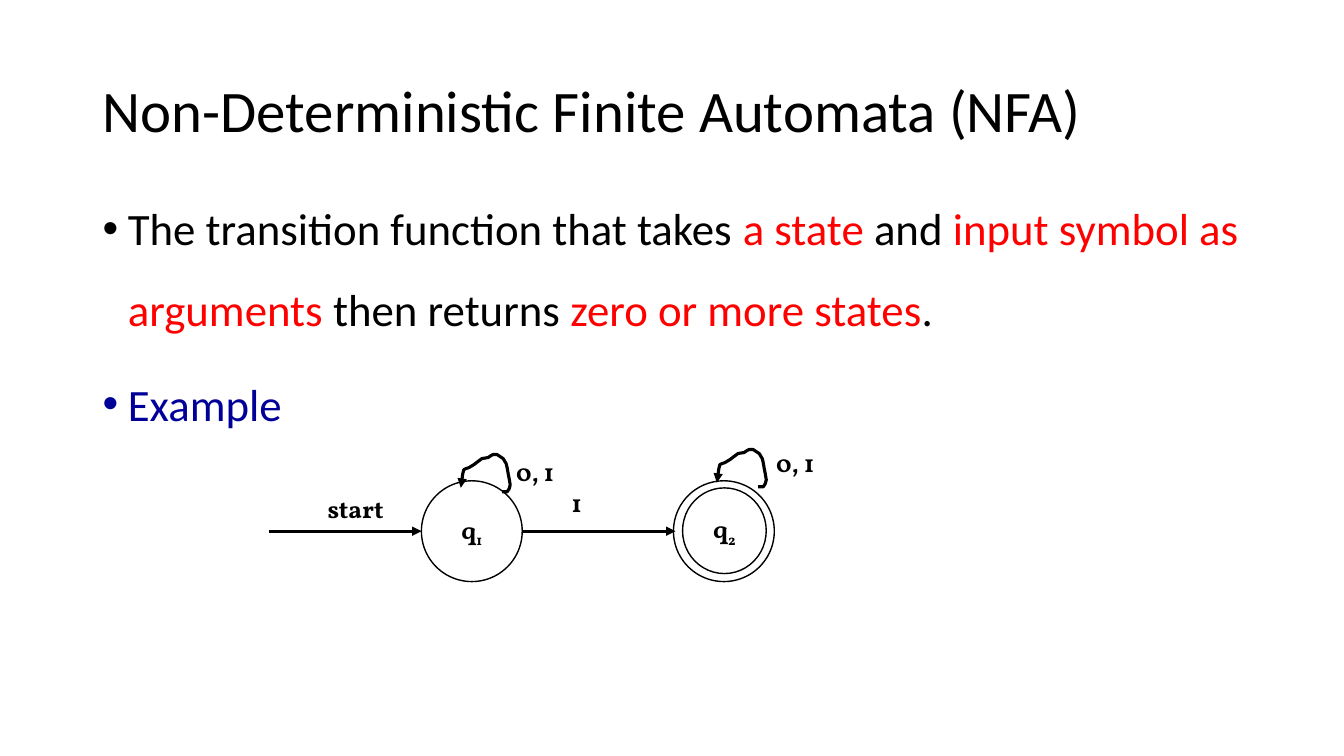
"""Build a slide that defines non-deterministic finite automata with a two-state example."""
from dataclasses import dataclass

from lxml.etree import SubElement
from pptx import Presentation
from pptx.dml.color import RGBColor
from pptx.enum.shapes import MSO_CONNECTOR, MSO_SHAPE
from pptx.enum.text import MSO_ANCHOR, MSO_AUTO_SIZE, PP_ALIGN
from pptx.oxml.ns import qn
from pptx.util import Inches, Pt

BLACK = RGBColor(0x00, 0x00, 0x00)
WHITE = RGBColor(0xFF, 0xFF, 0xFF)
RED = RGBColor(0xFF, 0x00, 0x00)
NAVY = RGBColor(0x00, 0x00, 0x99)
BODY_FONT = "Calibri"
DIAGRAM_FONT = "Vollkorn"


@dataclass
class Circle:
    left: float
    top: float
    width: float
    height: float
    index: str = ""


@dataclass
class Arrow:
    start: float
    end: float


@dataclass
class Label:
    text: str
    left: float
    top: float
    width: float


@dataclass
class Loop:
    left: float
    top: float


TITLE = "Non-Deterministic Finite Automata (NFA)"
BULLETS = [
    [
        ("The transition function that takes ", BLACK),
        ("a state ", RED),
        ("and ", BLACK),
        ("input symbol as arguments", RED),
        (" then returns ", BLACK),
        ("zero or more states", RED),
        (".", BLACK),
    ],
    [("Example", NAVY)],
]
ARROW_Y = 5.27
OUTER_CIRCLES = [Circle(4.18, 4.77, 1, 1, "1"), Circle(6.68, 4.77, 1, 1)]
ARROWS = [Arrow(2.67, 4.18), Arrow(5.18, 6.7)]
INNER_CIRCLE = Circle(6.77, 4.84, 0.83, 0.85, "2")
LABELS = [
    Label("0, 1", 5.02, 4.48, 0.66),
    Label("1", 5.57, 4.79, 0.32),
    Label("start", 3.15, 4.84, 0.88),
    Label("0, 1", 7.6, 4.39, 0.59),
]
LOOPS = [Loop(4.57, 4.51), Loop(7.11, 4.46)]
LOOP_POINTS = [
    (0, 0.33), (0.01, 0.26), (0.02, 0.19), (0.03, 0.15), (0.05, 0.14),
    (0.08, 0.13), (0.13, 0.1), (0.17, 0.07), (0.21, 0.04), (0.27, 0.03),
    (0.3, 0.01), (0.32, 0), (0.36, 0), (0.42, 0.04), (0.45, 0.09),
    (0.46, 0.13), (0.47, 0.19), (0.48, 0.24), (0.49, 0.3), (0.48, 0.34),
    (0.46, 0.37), (0.41, 0.37),
]


def add_run(p, text: str, font: str, size: float, color: RGBColor, bold: bool = False):
    """Add one formatted run and return it."""
    r = p.add_run()
    r.text = text
    r.font.name = font
    r.font.size = Pt(size)
    r.font.bold = bold
    r.font.color.rgb = color
    return r


def add_diagram_run(p, text: str):
    """Add a run in the style of the diagram."""
    return add_run(p, text, DIAGRAM_FONT, 18, BLACK, True)


def add_title(s) -> None:
    """Place and fill the title placeholder."""
    title = s.shapes.title
    title.left, title.top = Inches(0.92), Inches(0.4)
    title.width, title.height = Inches(11.5), Inches(1.45)
    tf = title.text_frame
    tf.auto_size = MSO_AUTO_SIZE.NONE
    tf.vertical_anchor = MSO_ANCHOR.MIDDLE
    p = tf.paragraphs[0]
    p.alignment = PP_ALIGN.LEFT
    p.line_spacing = 0.9
    add_run(p, TITLE, BODY_FONT, 42, BLACK)


def add_bullets(s) -> None:
    """Add the bulleted text."""
    box = s.shapes.add_textbox(Inches(0.92), Inches(1.68), Inches(11.5), Inches(4.76))
    tf = box.text_frame
    tf.word_wrap = True
    for i, runs in enumerate(BULLETS):
        p = tf.add_paragraph() if i else tf.paragraphs[0]
        p.line_spacing = 1.5
        p.space_before = Pt(10)
        pPr = p._p.get_or_add_pPr()
        pPr.set("marL", str(Inches(0.25)))
        pPr.set("indent", str(-Inches(0.25)))
        SubElement(pPr, qn("a:buFont")).set("typeface", "Arial")
        SubElement(pPr, qn("a:buChar")).set("char", "•")
        for text, color in runs:
            add_run(p, text, BODY_FONT, 32, color)


def add_circle(s, circle: Circle) -> None:
    """Add a state circle, named when it has an index."""
    sp = s.shapes.add_shape(
        MSO_SHAPE.OVAL, Inches(circle.left), Inches(circle.top),
        Inches(circle.width), Inches(circle.height),
    )
    sp.shadow.inherit = False
    sp.fill.solid()
    sp.fill.fore_color.rgb = WHITE
    sp.line.color.rgb = BLACK
    sp.line.width = Pt(1)
    if circle.index:
        tf = sp.text_frame
        tf.word_wrap = False
        tf.vertical_anchor = MSO_ANCHOR.MIDDLE
        p = tf.paragraphs[0]
        p.alignment = PP_ALIGN.CENTER
        add_diagram_run(p, "q")
        r = add_diagram_run(p, circle.index)
        r._r.get_or_add_rPr().set("baseline", "-25000")


def style_arrow(sp, arrow_end: str) -> None:
    """Give a line its black stroke and a triangle at the named end."""
    sp.line.color.rgb = BLACK
    sp.line.width = Pt(2.25)
    SubElement(sp.line._get_or_add_ln(), qn(f"a:{arrow_end}")).set("type", "triangle")


def add_arrow(s, arrow: Arrow) -> None:
    """Add a horizontal transition arrow."""
    sp = s.shapes.add_connector(
        MSO_CONNECTOR.STRAIGHT, Inches(arrow.start), Inches(ARROW_Y),
        Inches(arrow.end), Inches(ARROW_Y),
    )
    style_arrow(sp, "tailEnd")
    SubElement(sp._element.spPr, qn("a:effectLst"))


def add_loop(s, loop: Loop) -> None:
    """Add a transition that returns to its own state."""
    points = [(Inches(loop.left + x), Inches(loop.top + y)) for x, y in LOOP_POINTS]
    builder = s.shapes.build_freeform(*points[0])
    builder.add_line_segments(points[1:], close=False)
    sp = builder.convert_to_shape()
    sp.shadow.inherit = False
    sp.fill.background()
    style_arrow(sp, "headEnd")


def add_label(s, label: Label) -> None:
    """Add a transition label."""
    box = s.shapes.add_textbox(
        Inches(label.left), Inches(label.top), Inches(label.width), Inches(0.4)
    )
    tf = box.text_frame
    tf.word_wrap = True
    tf.auto_size = MSO_AUTO_SIZE.SHAPE_TO_FIT_TEXT
    add_diagram_run(tf.paragraphs[0], label.text)


def main() -> None:
    """Build and save the presentation."""
    prs = Presentation()
    prs.slide_width, prs.slide_height = Inches(13.33), Inches(7.5)
    s = prs.slides.add_slide(prs.slide_layouts[5])
    add_title(s)
    add_bullets(s)
    for circle in OUTER_CIRCLES:
        add_circle(s, circle)
    for arrow in ARROWS:
        add_arrow(s, arrow)
    add_circle(s, INNER_CIRCLE)
    for label in LABELS:
        add_label(s, label)
    for loop in LOOPS:
        add_loop(s, loop)
    prs.save("out.pptx")


if __name__ == "__main__":
    main()
